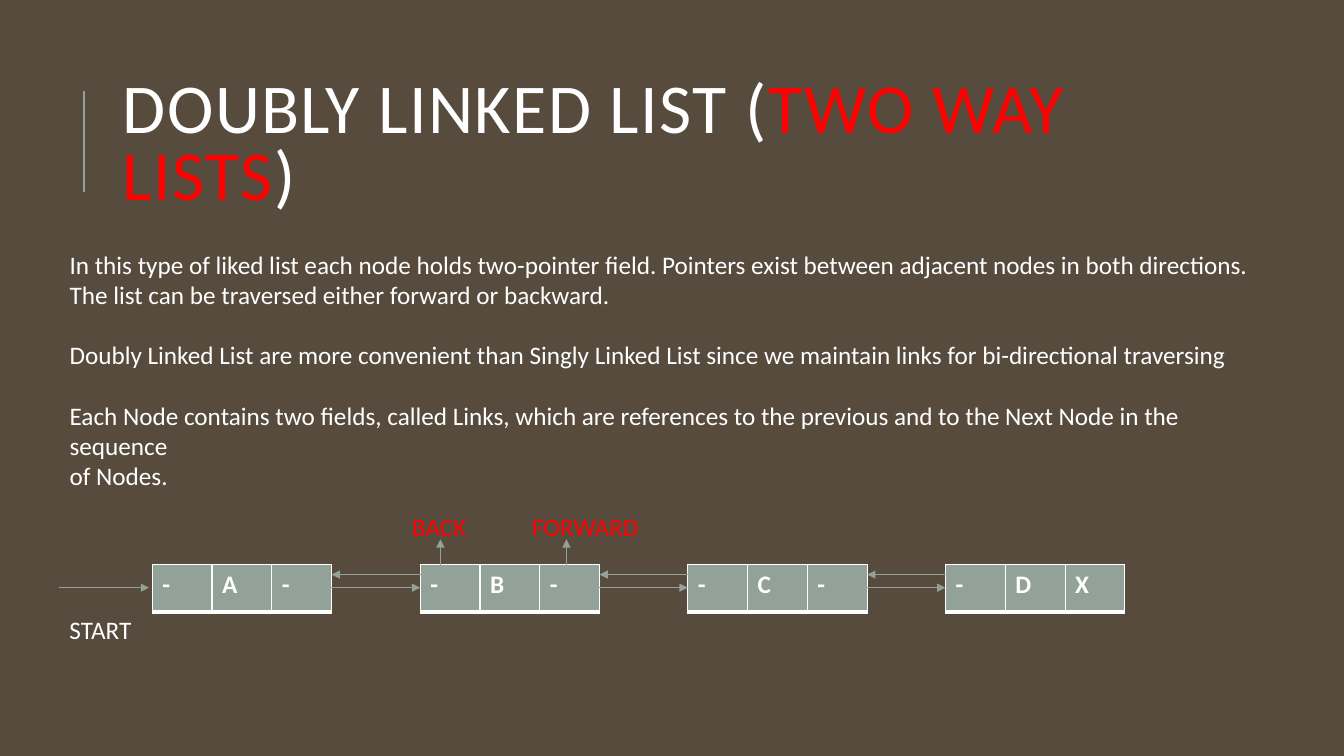
"""Build a slide that explains the doubly linked list."""
from lxml.etree import SubElement
from pptx import Presentation
from pptx.dml.color import RGBColor
from pptx.enum.shapes import MSO_CONNECTOR
from pptx.enum.text import MSO_ANCHOR, MSO_AUTO_SIZE, PP_ALIGN
from pptx.oxml import parse_xml
from pptx.oxml.ns import nsdecls, qn
from pptx.util import Pt

COLORS = {"background": "564B3C", "sage": "93A299", "white": "FFFFFF", "red": "FF0000"}
FONT = "Calibri"


def format_run(span, size, color, bold=False):
    span.font.name = FONT
    span.font.size = Pt(size)
    span.font.bold = bold
    span.font.color.rgb = RGBColor.from_string(COLORS[color])


def add_line(start_x, start_y, end_x, end_y, width=0.75, arrow=True):
    line = slide.shapes.add_connector(
        MSO_CONNECTOR.STRAIGHT, Pt(start_x), Pt(start_y), Pt(end_x), Pt(end_y)
    )
    line.line.width = Pt(width)
    line.line.color.rgb = RGBColor.from_string(COLORS["sage"])
    properties = line.element.spPr
    if arrow:
        SubElement(properties.find(qn("a:ln")), qn("a:tailEnd"), type="triangle")
    SubElement(properties, qn("a:effectLst"))


deck = Presentation()
deck.slide_width = Pt(960)
deck.slide_height = Pt(540)
slide = deck.slides.add_slide(deck.slide_layouts[1])
slide.background.fill.solid()
slide.background.fill.fore_color.rgb = RGBColor.from_string(COLORS["background"])

add_line(60, 136.8, 60, 64.8, width=1.5, arrow=False)

title = slide.shapes.title
title.left, title.top, title.width, title.height = Pt(80.6), Pt(46), Pt(765.4), Pt(118)
title.text_frame.word_wrap = True
title.text_frame.auto_size = MSO_AUTO_SIZE.NONE
title.text_frame.vertical_anchor = MSO_ANCHOR.MIDDLE
para = title.text_frame.paragraphs[0]
para.alignment = PP_ALIGN.LEFT
para.line_spacing = 0.8
for words, color in [("DOUBLY LINKED LIST (", "white"), ("TWO WAY LISTS", "red"), (")", "white")]:
    span = para.add_run()
    span.text = words
    format_run(span, 50, color)
    span.font._element.set("spc", "100")

BODY_LINES = [
    ("In this type of liked list each node holds two-pointer field. "
     "Pointers exist between adjacent nodes in both directions.", 0),
    ("The list can be traversed either forward or backward.", 0),
    ("Doubly Linked List are more convenient than Singly Linked List "
     "since we maintain links for bi-directional traversing", 21.6),
    ("Each Node contains two fields, called Links, which are references "
     "to the previous and to the Next Node in the sequence", 21.6),
    ("of Nodes.", 0),
]
body = slide.placeholders[1]
body.left, body.top, body.width, body.height = Pt(42.5), Pt(174.2), Pt(871.2), Pt(181.4)
body.text_frame.word_wrap = True
body.text_frame.auto_size = MSO_AUTO_SIZE.NONE
body.text_frame.text = "\n".join(words for words, gap in BODY_LINES)
for para, (words, gap) in zip(body.text_frame.paragraphs, BODY_LINES):
    para.space_before = Pt(gap)
    properties = para._p.get_or_add_pPr()
    properties.set("marL", "0")
    properties.set("indent", "0")
    SubElement(properties, qn("a:buNone"))
    format_run(para.runs[0], 18, "white")

NODES = [(108.7, "-A-"), (300.2, "-B-"), (491.3, "-C-"), (675.4, "-DX")]
NODE_TOP, NODE_HEIGHT, FIELD_WIDTH = 403.2, 33.8, 42.7
NODE_WIDTH = 3 * FIELD_WIDTH
BORDERS = [("lnL", 1), ("lnR", 1), ("lnT", 1), ("lnB", 3)]
for left, fields in NODES:
    frame = slide.shapes.add_table(
        1, 3, Pt(left), Pt(NODE_TOP), Pt(NODE_WIDTH), Pt(NODE_HEIGHT)
    )
    node = frame.table
    for column, field in enumerate(fields):
        node.columns[column].width = Pt(FIELD_WIDTH)
        cell = node.cell(0, column)
        cell.text_frame.text = field
        format_run(cell.text_frame.paragraphs[0].runs[0], 18, "white", bold=True)
        cell.fill.solid()
        cell.fill.fore_color.rgb = RGBColor.from_string(COLORS["sage"])
        for position, (side, width) in enumerate(BORDERS):
            border = parse_xml(
                f'<a:{side} {nsdecls("a")} w="{Pt(width)}"><a:solidFill>'
                f'<a:srgbClr val="{COLORS["white"]}"/></a:solidFill></a:{side}>'
            )
            cell._tc.get_or_add_tcPr().insert(position, border)

LINK_LENGTH, FORWARD_Y, BACK_Y = 64, 419.8, 410.4
add_line(42.5, FORWARD_Y, 42.5 + LINK_LENGTH, FORWARD_Y)
for (left, fields), (next_left, next_fields) in zip(NODES, NODES[1:]):
    right = left + NODE_WIDTH
    add_line(next_left - LINK_LENGTH, FORWARD_Y, next_left, FORWARD_Y)
    add_line(right + LINK_LENGTH, BACK_Y, right, BACK_Y)
for pointer_x in (314.6, 404.6):
    add_line(pointer_x, 409.7, pointer_x, 385.2)

LABELS = [
    ("START", 42.5, 434.9, 59, "white"),
    ("BACK", 287.3, 361.4, 54.7, "red"),
    ("FORWARD", 373, 361.4, 92.9, "red"),
]
for words, left, top, width, color in LABELS:
    box = slide.shapes.add_textbox(Pt(left), Pt(top), Pt(width), Pt(29))
    box.text_frame.word_wrap = False
    box.text_frame.text = words
    format_run(box.text_frame.paragraphs[0].runs[0], 18, color)

deck.save("out.pptx")
